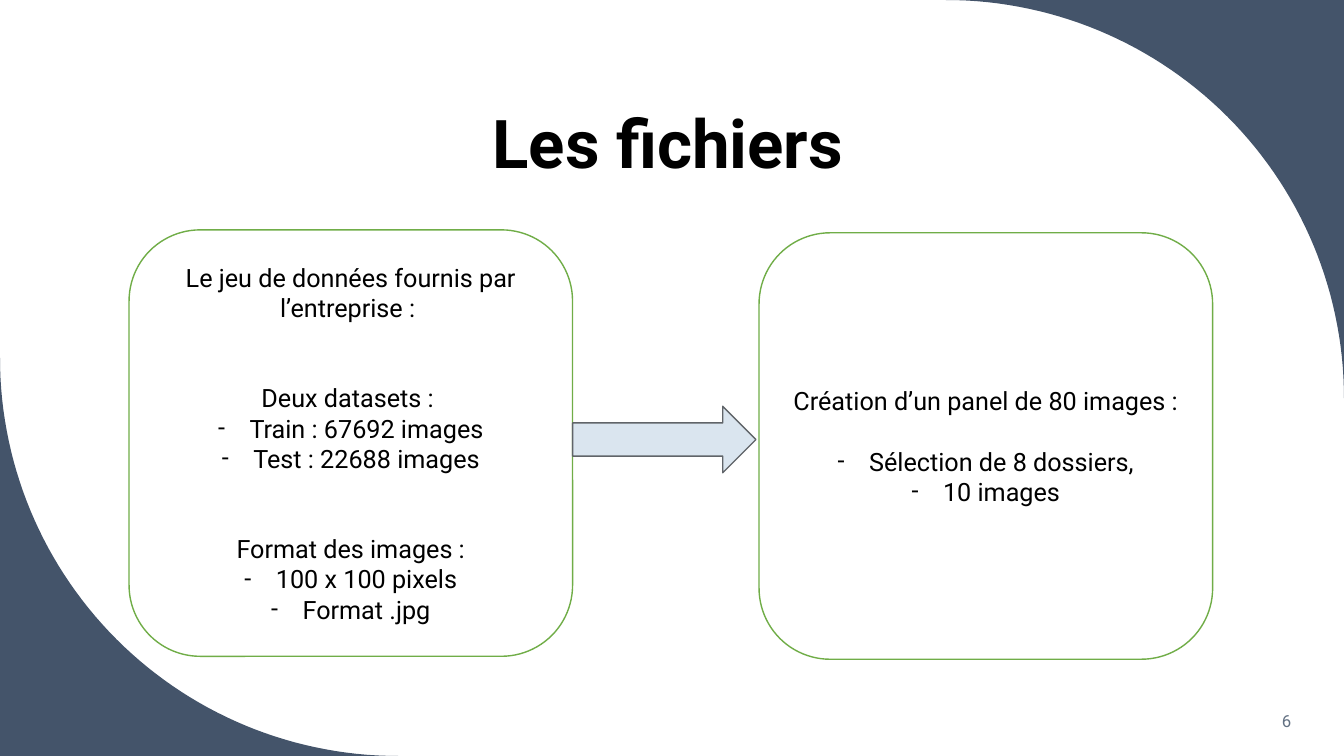
import math

import pptx
import pptx.dml.color
import pptx.enum.shapes
import pptx.enum.text
import pptx.oxml
import pptx.oxml.ns
import pptx.util

Pt = pptx.util.Pt
ALIGN = pptx.enum.text.PP_ALIGN
ANCHOR = pptx.enum.text.MSO_ANCHOR
KIND = pptx.enum.shapes.MSO_SHAPE

WIDE, HIGH = 960, 540
ROUND = 284.4
STEPS = 60
NAVY, GREEN, BLACK, WHITE = "44546A", "70AD47", "000000", "FFFFFF"
BODY = {"name": "Roboto", "size": Pt(18)}
FRAME = {"word_wrap": True, "vertical_anchor": ANCHOR.MIDDLE}

SOURCE = [
    ("Le jeu de données fournis par l’entreprise : ", False, 0),
    ("Deux datasets : ", False, 43),
    ("Train : 67692 images", True, 0),
    ("Test : 22688 images", True, 0),
    ("Format des images :", False, 43),
    ("100 x 100 pixels", True, 0),
    ("Format .jpg", True, 0),
]
PANEL = [
    ("Création d’un panel de 80 images :", False, 0),
    ("Sélection de 8 dossiers,", True, 21.5),
    ("10 images", True, 0),
]


def color(code):
    """Return the colour of a hex string."""
    return pptx.dml.color.RGBColor.from_string(code)


def apply(item, values):
    """Set every attribute named in a dict of values."""
    for name, value in values.items():
        setattr(item, name, value)


def place(item, box):
    """Move and size an item to a box in points."""
    names = ("left", "top", "width", "height")
    apply(item, dict(zip(names, map(Pt, box))))


def paint(shape, fill, line=None):
    """Give a shape a flat fill and an outline or none."""
    shape.shadow.inherit = False
    shape.fill.solid()
    shape.fill.fore_color.rgb = color(fill)
    if line:
        shape.line.color.rgb = color(line)
        shape.line.width = Pt(1)
    else:
        shape.line.fill.background()


def write(para, text, font, ink, form):
    """Write one run of text in a formatted paragraph."""
    run = para.add_run()
    run.text = text
    apply(run.font, font)
    run.font.color.rgb = color(ink)
    apply(para, form)


def dash(para):
    """Give a paragraph a hanging dash bullet."""
    props = para._p.get_or_add_pPr()
    props.set("marL", str(Pt(22.5)))
    props.set("indent", str(-Pt(22.5)))
    space = pptx.oxml.ns.nsdecls("a")
    for tag in (f'<a:buFont {space} typeface="Roboto"/>',
                f'<a:buChar {space} char="-"/>'):
        props.append(pptx.oxml.parse_xml(tag))


def corner(slide, mid, start, tip):
    """Draw the area between a quarter arc and a slide corner."""
    turns = [math.radians(start + 90 * step / STEPS)
             for step in range(STEPS + 1)]
    arc = [(Pt(mid[0] + ROUND * math.cos(turn)),
            Pt(mid[1] + ROUND * math.sin(turn))) for turn in turns]
    build = slide.shapes.build_freeform(*arc[0])
    build.add_line_segments(arc[1:] + [tuple(map(Pt, tip))], close=True)
    paint(build.convert_to_shape(), NAVY)


def shape(slide, kind, box, fill, line):
    """Add a painted preset shape."""
    item = slide.shapes.add_shape(kind, *map(Pt, box))
    paint(item, fill, line)
    return item


def card(slide, box, rows):
    """Add a rounded card with centred lines and dash items."""
    frame = shape(slide, KIND.ROUNDED_RECTANGLE, box, WHITE, GREEN).text_frame
    apply(frame, FRAME)
    for count, (text, item, gap) in enumerate(rows):
        para = frame.add_paragraph() if count else frame.paragraphs[0]
        write(para, text, BODY, BLACK,
              {"alignment": ALIGN.CENTER, "space_before": Pt(gap)})
        if item:
            dash(para)


def title(slide, text):
    """Fill and place the title."""
    head = slide.shapes.title
    place(head, (92.2, 30.2, 769.7, 104.4))
    apply(head.text_frame,
          {"word_wrap": True, "vertical_anchor": ANCHOR.BOTTOM})
    write(head.text_frame.paragraphs[0], text,
          {"name": "Roboto", "size": Pt(48), "bold": True}, BLACK,
          {"alignment": ALIGN.CENTER, "line_spacing": 0.9})


def number(slide, text):
    """Add the page number at the lower right."""
    box = (799.2, 500.4, 130.3, 28.8)
    frame = slide.shapes.add_textbox(*map(Pt, box)).text_frame
    apply(frame, FRAME)
    write(frame.paragraphs[0], text, {"name": "Roboto", "size": Pt(12)},
          "637183", {"alignment": ALIGN.RIGHT, "space_after": Pt(6)})


def main():
    """Build and save the slide."""
    deck = pptx.Presentation()
    apply(deck, {"slide_width": Pt(WIDE), "slide_height": Pt(HIGH)})
    slide = deck.slides.add_slide(deck.slide_layouts[5])
    corner(slide, (WIDE - ROUND, ROUND), -90, (WIDE, 0))
    corner(slide, (ROUND, HIGH - ROUND), 90, (0, HIGH))
    title(slide, "Les fichiers")
    number(slide, "6")
    card(slide, (92.2, 164.2, 316.8, 304.6), SOURCE)
    card(slide, (542.2, 166.3, 324, 304.6), PANEL)
    shape(slide, KIND.RIGHT_ARROW, (409, 290.2, 131, 47.5),
          "DAE5EF", "606469")
    deck.save("out.pptx")


if __name__ == "__main__":
    main()
